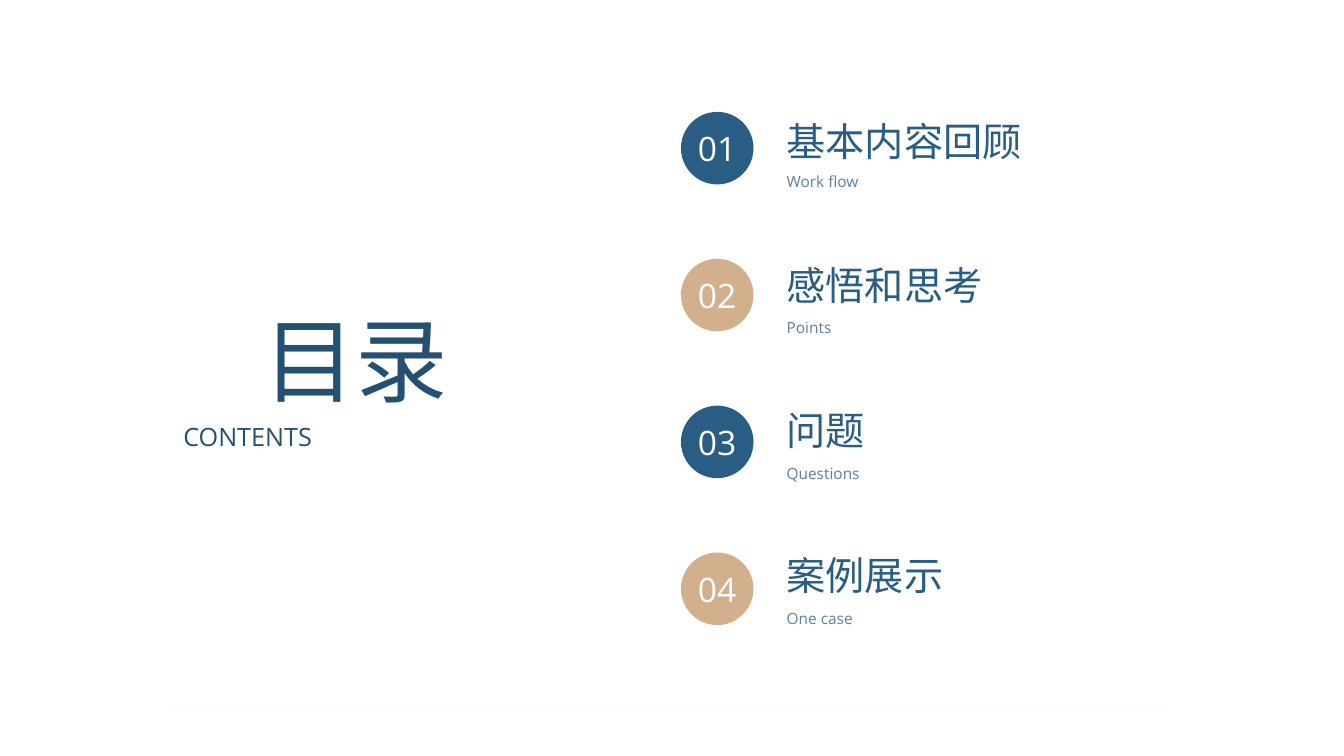
"""Build a contents slide with four numbered sections."""
import pptx
import pptx.util
import pptx.dml.color
import pptx.enum.shapes
import pptx.enum.text
import pptx.oxml
import pptx.oxml.ns

Inches = pptx.util.Inches
RGBColor = pptx.dml.color.RGBColor
Align = pptx.enum.text.PP_ALIGN
Shapes = pptx.enum.shapes.MSO_SHAPE

NAVY = RGBColor(0x24, 0x51, 0x72)
BLUE = RGBColor(0x29, 0x5D, 0x83)
TAN = RGBColor(0xD2, 0xB0, 0x8E)
MUTED = RGBColor(0x5C, 0x81, 0x9D)
WHITE = RGBColor(0xFF, 0xFF, 0xFF)
DARK = RGBColor(0x26, 0x26, 0x26)
HAN_FONT = "Noto Sans CJK SC"
LATIN_FONT = "Open Sans"

SECTIONS = [
    ("基本内容回顾", "Work flow"),
    ("感悟和思考", "Points"),
    ("问题", "Questions"),
    ("案例展示", "One case"),
]
TOP = 1.11
CIRCLE_PITCH, TITLE_PITCH, SUBTITLE_PITCH = 1.457, 1.437, 1.447
CIRCLE_LEFT, CIRCLE_SIZE, TEXT_LEFT = 6.755, 0.72, 7.705

deck = pptx.Presentation()
deck.slide_width, deck.slide_height = Inches(13.333), Inches(7.5)
page = deck.slides.add_slide(deck.slide_layouts[6])


def add_filled(kind, left, top, width, height, color):
    shape = page.shapes.add_shape(
        kind, Inches(left), Inches(top), Inches(width), Inches(height))
    shape.shadow.inherit = False
    shape.fill.solid()
    shape.fill.fore_color.rgb = color
    shape.line.fill.background()
    return shape


def write(frame, text, size, font, color, align):
    para = frame.paragraphs[0]
    para.alignment = align
    span = para.add_run()
    span.text = text
    span.font.size = pptx.util.Pt(size)
    span.font.name = font
    span.font.color.rgb = color
    east_asian = pptx.oxml.parse_xml(
        f'<a:ea {pptx.oxml.ns.nsdecls("a")} typeface="{font}"/>')
    span.font._element.append(east_asian)
    return para


def add_text(left, top, width, height, text, size, font, color, align=Align.LEFT):
    box = page.shapes.add_textbox(
        Inches(left), Inches(top), Inches(width), Inches(height))
    box.text_frame.word_wrap = True
    return write(box.text_frame, text, size, font, color, align)


shade = add_filled(Shapes.RECTANGLE, 0.46, 1.17, 12.39, 6.13, DARK)
effects = shade._element.spPr.find(pptx.oxml.ns.qn("a:effectLst"))
effects.append(pptx.oxml.parse_xml(
    f'<a:softEdge {pptx.oxml.ns.nsdecls("a")} rad="{Inches(0.69)}"/>'))
add_filled(Shapes.RECTANGLE, 0.54, 0.47, 12.25, 6.56, WHITE)

add_text(1.58, 2.96, 3.9, 1.21, "目录", 66, HAN_FONT, NAVY, Align.CENTER)
add_text(1.72, 4.13, 3.63, 0.4, "CONTENTS", 18, LATIN_FONT, NAVY, Align.JUSTIFY)

for index, (title, subtitle) in enumerate(SECTIONS):
    add_text(TEXT_LEFT, TOP + index * TITLE_PITCH, 4.59, 0.57,
             title, 28, HAN_FONT, BLUE)
    para = add_text(TEXT_LEFT, TOP + 0.51 + index * SUBTITLE_PITCH, 5.01, 0.32,
                    subtitle, 11, LATIN_FONT, MUTED)
    para.line_spacing = 1.2
    circle = add_filled(Shapes.OVAL, CIRCLE_LEFT, TOP + index * CIRCLE_PITCH,
                        CIRCLE_SIZE, CIRCLE_SIZE, (BLUE, TAN)[index % 2])
    frame = circle.text_frame
    frame.margin_left = frame.margin_right = 0
    frame.margin_top = frame.margin_bottom = 0
    frame.word_wrap = False
    frame.vertical_anchor = pptx.enum.text.MSO_ANCHOR.MIDDLE
    write(frame, f"{index + 1:02}", 24, LATIN_FONT, WHITE, Align.CENTER)

deck.save("out.pptx")
